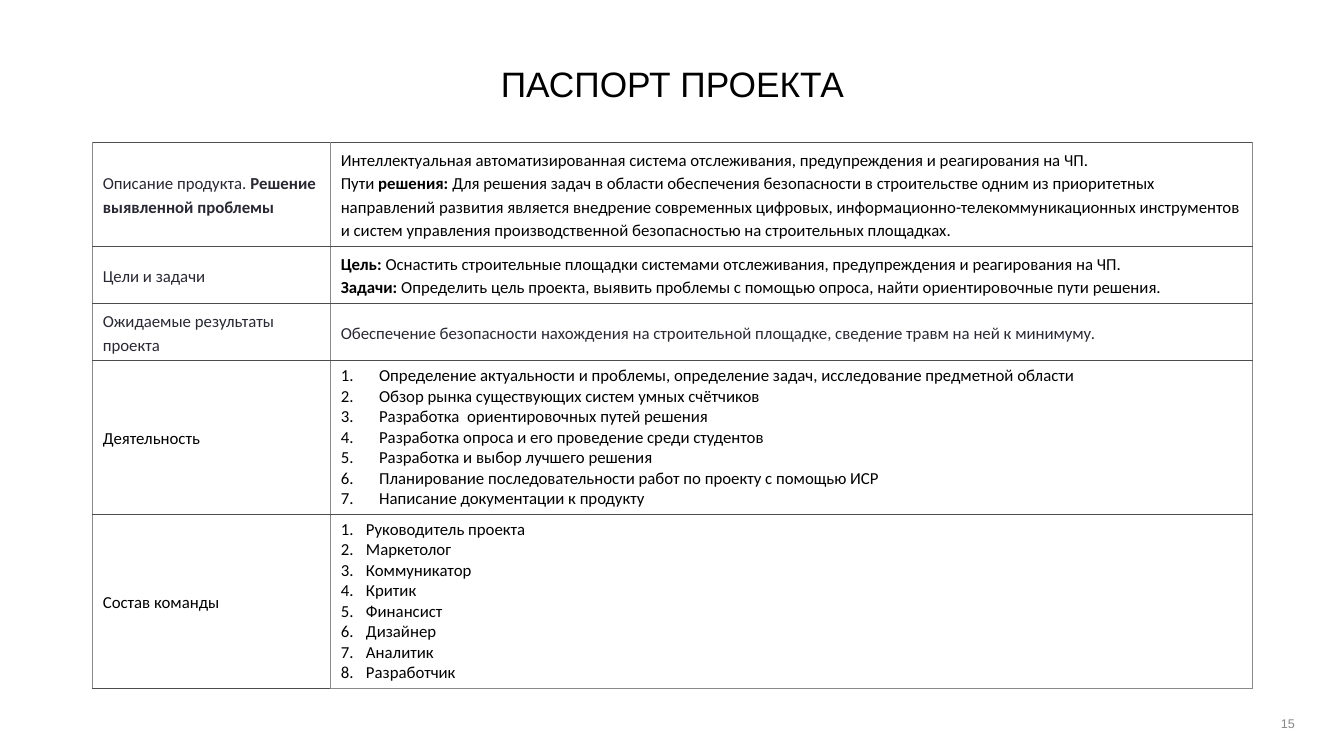
from dataclasses import dataclass

import lxml.etree
import pptx
import pptx.dml.color
import pptx.enum.text
import pptx.oxml.ns
import pptx.util

Inches = pptx.util.Inches
Pt = pptx.util.Pt
RGBColor = pptx.dml.color.RGBColor
PP_ALIGN = pptx.enum.text.PP_ALIGN
MSO_ANCHOR = pptx.enum.text.MSO_ANCHOR

BLACK = RGBColor(0x00, 0x00, 0x00)
INK = RGBColor(0x29, 0x29, 0x34)
WHITE = RGBColor(0xFF, 0xFF, 0xFF)
NUMBER_GRAY = RGBColor(0x88, 0x88, 0x88)
SIDE_BORDER = RGBColor(0x89, 0x89, 0x89)
ROW_BORDER = RGBColor(0x4D, 0x4D, 0x4D)
COLUMN_WIDTHS = (2.36, 9.14)


@dataclass(frozen=True)
class TextRun:
    text: str
    bold: bool = False


@dataclass(frozen=True)
class CellContent:
    paragraphs: tuple[tuple[TextRun, ...], ...]
    color: RGBColor = BLACK
    number_indent: float = 0


@dataclass(frozen=True)
class PassportRow:
    height: float
    label: CellContent
    details: CellContent


def single(text: str, color: RGBColor = BLACK) -> CellContent:
    return CellContent(((TextRun(text),),), color)


def numbered(indent: float, *items: str) -> CellContent:
    return CellContent(tuple((TextRun(item),) for item in items), BLACK, indent)


ROWS = (
    PassportRow(
        1.03,
        CellContent(((TextRun("Описание продукта. "), TextRun("Решение выявленной проблемы", True)),), INK),
        CellContent((
            (TextRun("Интеллектуальная автоматизированная система отслеживания, предупреждения и реагирования на ЧП."),),
            (
                TextRun("Пути "),
                TextRun("решения:", True),
                TextRun(
                    " Для решения задач в области обеспечения безопасности в строительстве одним из приоритетных "
                    "направлений развития является внедрение современных цифровых, "
                    "информационно-телекоммуникационных инструментов и систем управления производственной "
                    "безопасностью на строительных площадках."
                ),
            ),
        )),
    ),
    PassportRow(
        0.56,
        single("Цели и задачи", INK),
        CellContent((
            (
                TextRun("Цель: ", True),
                TextRun("Оснастить строительные площадки системами отслеживания, предупреждения и реагирования на ЧП."),
            ),
            (
                TextRun("Задачи: ", True),
                TextRun("Определить цель проекта, выявить проблемы с помощью опроса, найти ориентировочные пути решения."),
            ),
        )),
    ),
    PassportRow(
        0.56,
        single("Ожидаемые результаты проекта", INK),
        single("Обеспечение безопасности нахождения на строительной площадке, сведение травм на ней к минимуму.", INK),
    ),
    PassportRow(
        1.52,
        single("Деятельность"),
        numbered(
            0.38,
            "Определение актуальности и проблемы, определение задач, исследование предметной области",
            "Обзор рынка существующих систем умных счётчиков",
            "Разработка  ориентировочных путей решения",
            "Разработка опроса и его проведение среди студентов",
            "Разработка и выбор лучшего решения",
            "Планирование последовательности работ по проекту с помощью ИСР",
            "Написание документации к продукту",
        ),
    ),
    PassportRow(
        1.72,
        single("Состав команды"),
        numbered(
            0.25,
            "Руководитель проекта", "Маркетолог", "Коммуникатор", "Критик",
            "Финансист", "Дизайнер", "Аналитик", "Разработчик",
        ),
    ),
)


def add_run(paragraph, text: str, font_name: str, size: float, color: RGBColor, bold: bool = False) -> None:
    run = paragraph.add_run()
    run.text = text
    run.font.name = font_name
    run.font.size = Pt(size)
    run.font.bold = bold
    run.font.color.rgb = color


def add_element(parent, tag: str, **attributes: str):
    return lxml.etree.SubElement(parent, pptx.oxml.ns.qn(tag), **attributes)


def add_solid_fill(parent, tag: str, color: RGBColor) -> None:
    add_element(add_element(parent, tag), "a:srgbClr", val=str(color))


def number_paragraph(paragraph, indent: float) -> None:
    properties = paragraph._p.get_or_add_pPr()
    properties.set("marL", str(Inches(indent)))
    properties.set("indent", str(-Inches(indent)))
    add_solid_fill(properties, "a:buClr", BLACK)
    add_element(properties, "a:buFont", typeface="Calibri")
    add_element(properties, "a:buAutoNum", type="arabicPeriod")


def set_borders(cell, bottom_color: RGBColor) -> None:
    properties = cell._tc.get_or_add_tcPr()
    sides = (("a:lnL", SIDE_BORDER), ("a:lnR", SIDE_BORDER), ("a:lnT", ROW_BORDER), ("a:lnB", bottom_color))
    for tag, color in sides:
        add_solid_fill(add_element(properties, tag, w=str(Pt(1))), "a:solidFill", color)


def fill_cell(cell, content: CellContent, bottom_color: RGBColor) -> None:
    set_borders(cell, bottom_color)
    cell.fill.solid()
    cell.fill.fore_color.rgb = WHITE
    cell.vertical_anchor = MSO_ANCHOR.MIDDLE
    for index, runs in enumerate(content.paragraphs):
        paragraph = cell.text_frame.paragraphs[0] if index == 0 else cell.text_frame.add_paragraph()
        if content.number_indent:
            number_paragraph(paragraph, content.number_indent)
        else:
            paragraph.line_spacing = 1.15
        for run in runs:
            add_run(paragraph, run.text, "Calibri", 12, content.color, run.bold)


def add_title(slide) -> None:
    title = slide.shapes.title
    title.left, title.top, title.width, title.height = Inches(0.92), Inches(0.64), Inches(11.5), Inches(0.78)
    frame = title.text_frame
    frame.auto_size = pptx.enum.text.MSO_AUTO_SIZE.NONE
    frame.vertical_anchor = MSO_ANCHOR.TOP
    frame.margin_top = Inches(0.02)
    paragraph = frame.paragraphs[0]
    paragraph.alignment = PP_ALIGN.CENTER
    paragraph.line_spacing = 0.9
    add_run(paragraph, "ПАСПОРТ ПРОЕКТА", "Arial", 25.2, BLACK)


def add_passport_table(slide) -> None:
    table_height = sum(row.height for row in ROWS)
    table = slide.shapes.add_table(
        len(ROWS), len(COLUMN_WIDTHS), Inches(0.92), Inches(1.41), Inches(sum(COLUMN_WIDTHS)), Inches(table_height)
    ).table
    table.first_row = False
    table.horz_banding = False
    for column, width in zip(table.columns, COLUMN_WIDTHS):
        column.width = Inches(width)
    for index, row in enumerate(ROWS):
        table.rows[index].height = Inches(row.height)
        bottom_color = SIDE_BORDER if row is ROWS[-1] else ROW_BORDER
        fill_cell(table.cell(index, 0), row.label, ROW_BORDER)
        fill_cell(table.cell(index, 1), row.details, bottom_color)


def add_slide_number(slide) -> None:
    frame = slide.shapes.add_textbox(Inches(9.94), Inches(6.98), Inches(3), Inches(0.4)).text_frame
    frame.word_wrap = True
    frame.vertical_anchor = MSO_ANCHOR.MIDDLE
    paragraph = frame.paragraphs[0]
    paragraph.alignment = PP_ALIGN.RIGHT
    add_run(paragraph, "15", "Arial", 9, NUMBER_GRAY)


def main() -> None:
    presentation = pptx.Presentation()
    presentation.slide_width = Inches(13.33)
    presentation.slide_height = Inches(7.5)
    slide = presentation.slides.add_slide(presentation.slide_layouts[5])
    add_title(slide)
    add_passport_table(slide)
    add_slide_number(slide)
    presentation.save("out.pptx")


if __name__ == "__main__":
    main()
